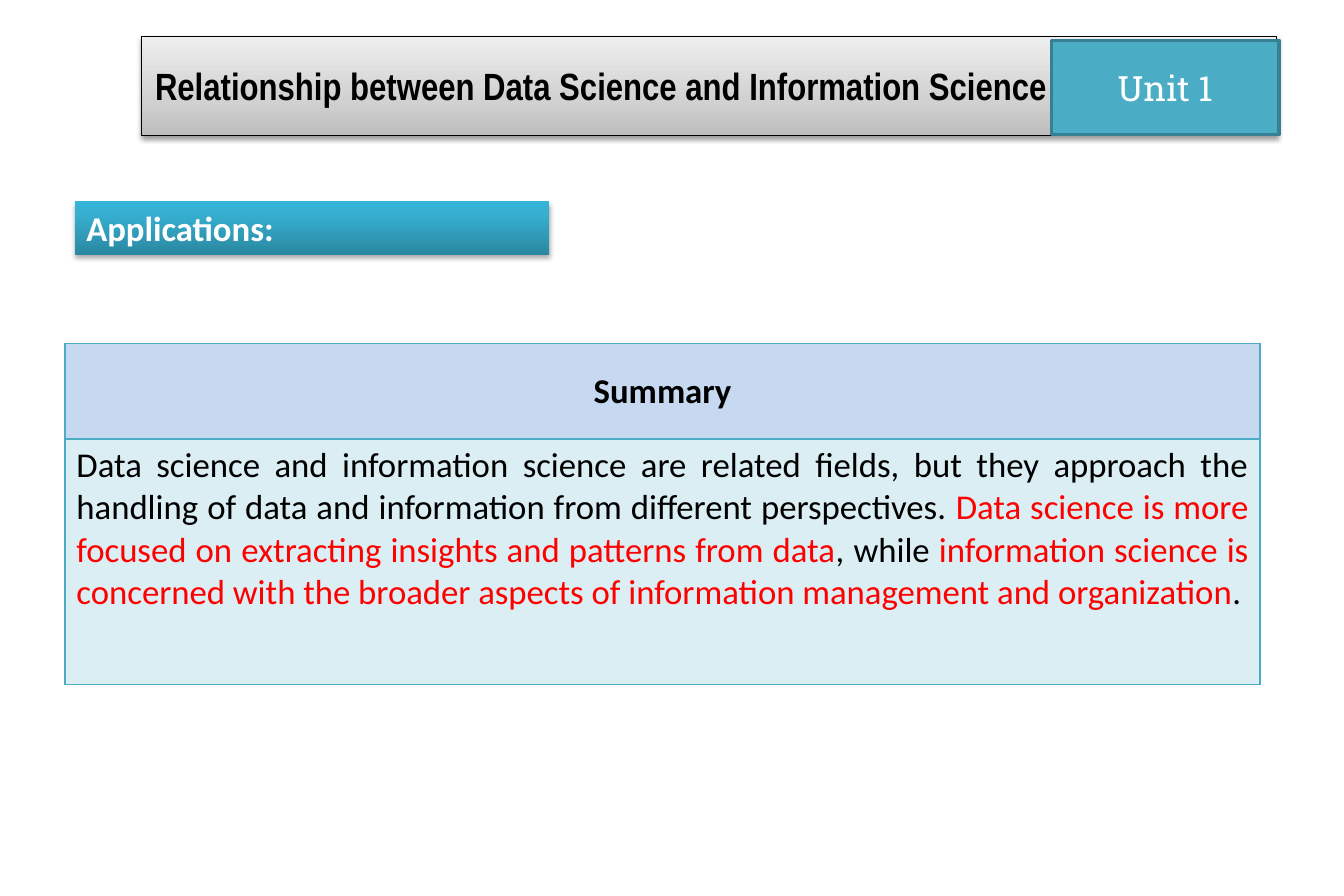
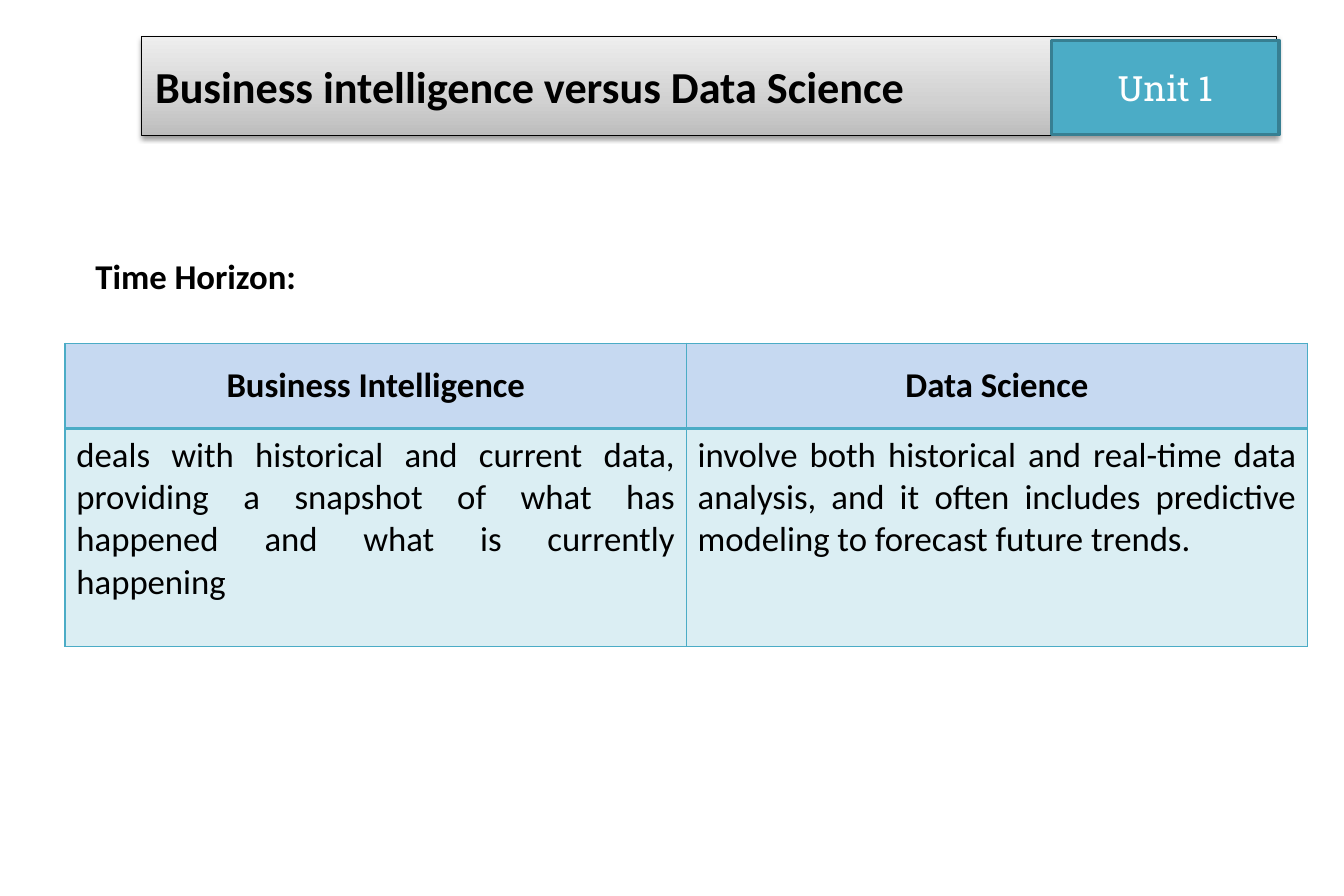
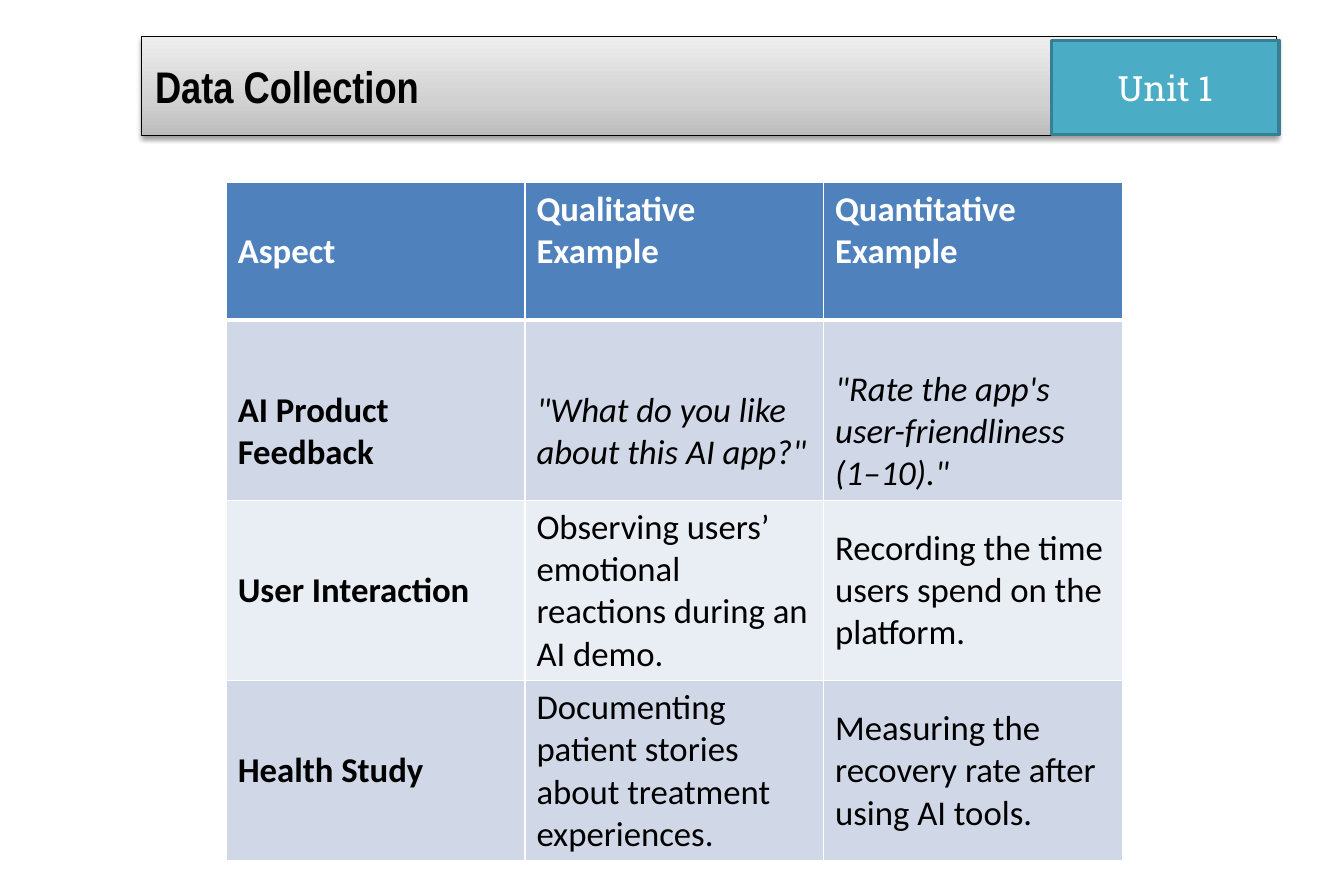
import pptx
import pptx.util
import pptx.dml.color
import pptx.enum.shapes
import pptx.enum.text
import pptx.oxml.ns
import pptx.oxml.xmlchemy
from lxml import etree

Pt = pptx.util.Pt
qn = pptx.oxml.ns.qn
ALIGN = pptx.enum.text.PP_ALIGN
ANCHOR = pptx.enum.text.MSO_ANCHOR

COLORS = {
    "black": "000000", "white": "FFFFFF", "red": "FF0000",
    "teal": "4BACC6", "teal_edge": "377F92",
    "head_light": "C6D9F1", "head_blue": "4F81BD",
    "band_dark": "D0D8E8", "band_light": "E9EDF4",
}
GRADIENTS = {
    "grey": [(0, "BDBDBD"), (35, "D1D1D1"), (100, "EEEEEE")],
    "teal": [(0, "2A88A2"), (80, "37B1D2"), (100, "34B4D6")],
}
BASE = {"name": "Calibri", "size": Pt(22), "bold": False, "italic": False}
BOLD = {"bold": True}
ITALIC = {"italic": True}
LINE_HEIGHT = 26.7
MARGIN = 3.6

HEADER_BOX = (89.3, 23, 718.6, 62.6)


def rgb(name):
    return pptx.dml.color.RGBColor.from_string(COLORS[name])


def sub(parent, tag, **attrs):
    return etree.SubElement(parent, qn(tag), {k: str(v) for k, v in attrs.items()})


def write(tf, runs, color="black", align=ALIGN.LEFT, **fmt):
    p = tf.paragraphs[0]
    p.alignment = align
    for text, run_color in [(runs, color)] if isinstance(runs, str) else runs:
        r = p.add_run()
        r.text = text
        for key, value in {**BASE, **fmt}.items():
            setattr(r.font, key, value)
        r.font.color.rgb = rgb(run_color)


def add_box(slide, box, anchor=ANCHOR.MIDDLE):
    s = slide.shapes.add_shape(pptx.enum.shapes.MSO_SHAPE.RECTANGLE, *map(Pt, box))
    s.shadow.inherit = False
    s.line.fill.background()
    s.text_frame.word_wrap = True
    s.text_frame.vertical_anchor = anchor
    return s


def set_gradient(s, name):
    s.fill.gradient()
    s.fill.gradient_angle = 90
    stops = s._element.spPr.find(qn("a:gradFill")).find(qn("a:gsLst"))
    for stop in list(stops):
        stops.remove(stop)
    for pos, color in GRADIENTS[name]:
        sub(sub(stops, "a:gs", pos=pos * 1000), "a:srgbClr", val=color)


def set_shadow(s, opacity, distance):
    effects = s._element.spPr.find(qn("a:effectLst"))
    shadow = sub(effects, "a:outerShdw", blurRad=Pt(3.15), dist=Pt(distance),
                 dir=5400000, rotWithShape=0)
    color = sub(shadow, "a:srgbClr", val=COLORS["black"])
    sub(color, "a:alpha", val=opacity * 1000)


def set_line(s, color, width):
    s.line.color.rgb = rgb(color)
    s.line.width = Pt(width)


def add_header(slide, box, title, name="Arial Narrow", size=28):
    left, top, width, height = box
    s = add_box(slide, box)
    set_gradient(s, "grey")
    set_line(s, "black", 0.75)
    set_shadow(s, 38, 1.6)
    tf = s.text_frame
    for side, inset in {"left": 8.8, "right": 8.8, "top": 4.4, "bottom": 4.4}.items():
        setattr(tf, "margin_" + side, Pt(inset))
    write(tf, title, name=name, size=Pt(size), bold=True)

    s = add_box(slide, (left + width - 142.6, top + 2.4, 144, 60))
    s.fill.solid()
    s.fill.fore_color.rgb = rgb("teal")
    set_line(s, "teal_edge", 2)
    write(s.text_frame, "Unit 1", "white", ALIGN.CENTER, name="Roboto Slab")


def add_label(slide, box, text):
    s = add_box(slide, box, ANCHOR.TOP)
    set_gradient(s, "teal")
    set_shadow(s, 35, 1.8)
    write(s.text_frame, text, "white", bold=True)


def add_caption(slide, box, text):
    tf = slide.shapes.add_textbox(*map(Pt, box)).text_frame
    tf.word_wrap = True
    write(tf, text, bold=True)


def style_cell(cell, fill, border, widths, opacity=100):
    tc_pr = cell._tc.get_or_add_tcPr()
    for side, width in zip("LRTB", widths):
        ln = sub(tc_pr, "a:ln" + side, w=Pt(width))
        sub(sub(ln, "a:solidFill"), "a:srgbClr", val=COLORS[border])
    cell.fill.solid()
    cell.fill.fore_color.rgb = rgb(fill)
    if opacity < 100:
        color = tc_pr.find(qn("a:solidFill")).find(qn("a:srgbClr"))
        sub(color, "a:alpha", val=opacity * 1000)


def add_grid(slide, left, top, width, heights, columns):
    frame = slide.shapes.add_table(len(heights), columns, Pt(left), Pt(top),
                                   Pt(width), Pt(sum(heights)))
    tbl = frame.table
    tbl.first_row = tbl.horz_banding = False
    for column in tbl.columns:
        column.width = Pt(width / columns)
    for row, height in zip(tbl.rows, heights):
        row.height = Pt(height)
    return tbl


def add_comparison(slide, box, head_height, heads, bodies):
    left, top, width, height = box
    tbl = add_grid(slide, left, top, width, [head_height, height - head_height], len(heads))
    for c, (head, body) in enumerate(zip(heads, bodies)):
        cell = tbl.cell(0, c)
        style_cell(cell, "head_light", "teal", (1, 1, 1, 2))
        cell.vertical_anchor = ANCHOR.MIDDLE
        write(cell.text_frame, head, align=ALIGN.CENTER, bold=True)
        cell = tbl.cell(1, c)
        style_cell(cell, "teal", "teal", (1, 1, 2, 1), opacity=20)
        write(cell.text_frame, body, align=ALIGN.JUSTIFY)


def add_examples(slide, box, head_height, rows):
    left, top, width, height = box
    row_height = (height - head_height) / (len(rows) - 1)
    heights = [head_height] + [row_height] * (len(rows) - 1)
    tbl = add_grid(slide, left, top, width, heights, len(rows[0]))
    for i, row in enumerate(rows):
        fill = "head_blue" if i == 0 else "band_dark" if i % 2 else "band_light"
        widths = (1, 1, 3 if i == 1 else 1, 3 if i == 0 else 1)
        for c, text in enumerate(row):
            cell = tbl.cell(i, c)
            style_cell(cell, fill, "white", widths)
            cell.vertical_anchor = ANCHOR.MIDDLE
            if i == 0 and c > 0:
                cell.margin_bottom = Pt(MARGIN + LINE_HEIGHT)
            if i == 1:
                cell.margin_top = Pt(MARGIN + LINE_HEIGHT)
            fmt = BOLD if i == 0 or c == 0 else ITALIC if i == 1 else {}
            write(cell.text_frame, text, "white" if i == 0 else "black", **fmt)


def main():
    prs = pptx.Presentation()
    prs.slide_width, prs.slide_height = Pt(850.4), Pt(567.2)
    summary, horizon, collection = [
        prs.slides.add_slide(prs.slide_layouts[6]) for _ in range(3)]

    add_header(summary, HEADER_BOX,
               "Relationship between Data Science and Information Science", size=24)
    add_comparison(summary, (41.2, 217.4, 756, 216), 60.5, ["Summary"], [[
        ("Data science and information science are related fields, but they approach the "
         "handling of data and information from different perspectives. ", "black"),
        ("Data science is more focused on extracting insights and patterns from data", "red"),
        (", while ", "black"),
        ("information science is concerned with the broader aspects of information "
         "management and organization", "red"),
        (".", "black"),
    ]])
    add_label(summary, (47.5, 127.4, 300, 33.8), "Applications:")

    add_header(horizon, HEADER_BOX, "Business intelligence versus Data Science", "Calibri")
    add_comparison(horizon, (41.2, 217.4, 786.2, 192), 54,
                   ["Business Intelligence", "Data Science"],
                   ["deals with historical and current data, providing a snapshot of what has "
                    "happened and what is currently happening",
                    "involve both historical and real-time data analysis, and it often includes "
                    "predictive modeling to forecast future trends."])
    add_caption(horizon, (53.3, 157.7, 258, 33.8), "Time Horizon:")

    add_header(collection, HEADER_BOX, "Data Collection")
    add_examples(collection, (143.3, 115.5, 567, 429.6), 87.3, [
        ["Aspect", "Qualitative Example", "Quantitative Example"],
        ["AI Product Feedback", "\"What do you like about this AI app?\"",
         "\"Rate the app's user-friendliness (1–10).\""],
        ["User Interaction", "Observing users’ emotional reactions during an AI demo.",
         "Recording the time users spend on the platform."],
        ["Health Study", "Documenting patient stories about treatment experiences.",
         "Measuring the recovery rate after using AI tools."],
    ])
    prs.save("out.pptx")


if __name__ == "__main__":
    main()
